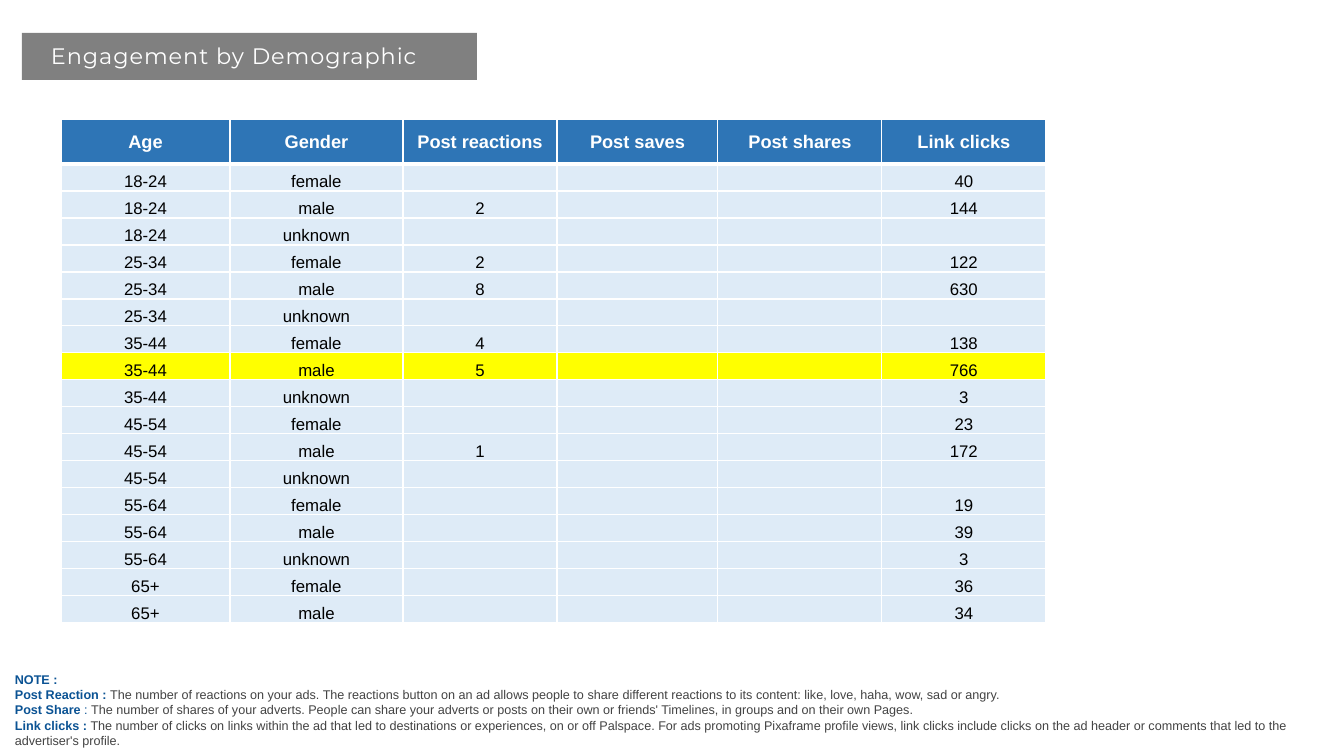
import itertools

import pptx
import pptx.dml.color
import pptx.enum.shapes
import pptx.enum.text
import pptx.oxml.ns
import pptx.util
from lxml import etree

PX = 914400 / 100.8
COLORS = {
    "white": "FFFFFF", "black": "000000", "banner": "808080",
    "header": "2E75B6", "body": "DEEBF7", "highlight": "FFFF00",
    "term": "0B5394", "definition": "434343",
}
ANCHOR = pptx.enum.text.MSO_ANCHOR

HEADINGS = ["Age", "Gender", "Post reactions", "Post saves", "Post shares", "Link clicks"]
COLUMN_WIDTHS = [169, 173, 154, 161, 164, 164]
HEADER_HEIGHT, ROW_HEIGHT = 45, 27
AGES = ["18-24", "25-34", "35-44", "45-54", "55-64", "65+"]
GENDERS = ["female", "male", "unknown"]
REACTIONS = ["", "2", "", "2", "8", "", "4", "5", "", "", "1", "", "", "", "", "", ""]
CLICKS = ["40", "144", "", "122", "630", "", "138", "766", "3",
          "23", "172", "", "19", "39", "3", "36", "34"]
HIGHLIGHTED = ("35-44", "male")

# Each note is a list of (text, colour, bold) runs.
NOTES = [
    [("NOTE :", "term", True)],
    [("Post Reaction : ", "term", True),
     ("The number of reactions on your ads. The reactions button on an ad allows people to "
      "share different reactions to its content: like, love, haha, wow, sad or angry.",
      "definition", False)],
    [("Post Share", "term", True), (" : ", "term", False),
     ("The number of shares of your adverts. People can share your adverts or posts on their "
      "own or friends' Timelines, in groups and on their own Pages.", "definition", False)],
    [("Link clicks : ", "term", True),
     ("The number of clicks on links within the ad that led to destinations or experiences, "
      "on or off Palspace. For ads promoting Pixaframe profile views, link clicks include "
      "clicks on the ad header or comments that led to the advertiser's profile.",
      "definition", False)],
]


def px(n):
    return pptx.util.Emu(round(n * PX))


def rgb(name):
    return pptx.dml.color.RGBColor.from_string(COLORS[name])


def format_run(r, size, color, bold=False, font="Arial"):
    r.font.name = font
    r.font.size = pptx.util.Pt(size)
    r.font.bold = bold
    r.font.color.rgb = rgb(color)


def add_textbox(slide, x, y, w, h):
    tf = slide.shapes.add_textbox(px(x), px(y), px(w), px(h)).text_frame
    tf.word_wrap = True
    return tf


def add_banner(slide, text):
    sp = slide.shapes.add_shape(
        pptx.enum.shapes.MSO_SHAPE.RECTANGLE, px(22), px(33), px(455), px(47))
    sp.shadow.inherit = False
    sp.fill.solid()
    sp.fill.fore_color.rgb = rgb("banner")
    sp.line.fill.background()

    tf = add_textbox(slide, 51, 33, 455, 36)
    tf.margin_left = tf.margin_right = tf.margin_bottom = 0
    tf.margin_top = px(9)
    tf.text = text
    p = tf.paragraphs[0]
    p.space_before = pptx.util.Pt(0.7)
    r = p.runs[0]
    format_run(r, 16, "white", font="Montserrat")
    r.font._element.set("spc", "70")


def set_borders(cell, **widths):
    """Draw white borders; widths are points by side letter (L, R, T, B)."""
    tc_pr = cell._tc.get_or_add_tcPr()
    qn = pptx.oxml.ns.qn
    for side, width in widths.items():
        ln = etree.SubElement(tc_pr, qn(f"a:ln{side}"), w=str(pptx.util.Pt(width)))
        fill = etree.SubElement(ln, qn("a:solidFill"))
        etree.SubElement(fill, qn("a:srgbClr"), val=COLORS["white"])


def fill_cell(cell, text, size, color, fill, bold, anchor, bottom):
    set_borders(cell, L=1, R=1, T=1, B=bottom)
    cell.fill.solid()
    cell.fill.fore_color.rgb = rgb(fill)
    cell.vertical_anchor = anchor
    cell.margin_left = cell.margin_right = cell.margin_top = px(1)
    cell.margin_bottom = 0
    cell.text = text
    p = cell.text_frame.paragraphs[0]
    p.alignment = pptx.enum.text.PP_ALIGN.CENTER
    for r in p.runs:
        format_run(r, size, color, bold)
    if not text:  # keeps empty cells from stretching the row
        etree.SubElement(p._p, pptx.oxml.ns.qn("a:endParaRPr"), sz=str(size * 100))


def add_engagement_table(slide):
    groups = itertools.product(AGES, GENDERS)
    rows = [[age, gender, reactions, "", "", clicks]
            for (age, gender), reactions, clicks in zip(groups, REACTIONS, CLICKS)]
    table = slide.shapes.add_table(
        len(rows) + 1, len(HEADINGS), px(61), px(119), px(sum(COLUMN_WIDTHS)),
        px(HEADER_HEIGHT + ROW_HEIGHT * len(rows))).table
    table.first_row = table.horz_banding = False
    for column, width in zip(table.columns, COLUMN_WIDTHS):
        column.width = px(width)
    for i, values in enumerate([HEADINGS] + rows):
        table.rows[i].height = px(ROW_HEIGHT if i else HEADER_HEIGHT)
        if i == 0:
            style = (13, "white", "header", True, ANCHOR.MIDDLE, 3)
        else:
            fill = "highlight" if tuple(values[:2]) == HIGHLIGHTED else "body"
            style = (12, "black", fill, False, ANCHOR.BOTTOM, 1)
        for j, text in enumerate(values):
            fill_cell(table.cell(i, j), text, *style)


def add_notes(slide):
    tf = add_textbox(slide, 5, 667, 1323, 87)
    for i, runs in enumerate(NOTES):
        p = tf.add_paragraph() if i else tf.paragraphs[0]
        for text, color, bold in runs:
            r = p.add_run()
            r.text = text
            format_run(r, 9, color, bold)


def main():
    prs = pptx.Presentation()
    prs.slide_width, prs.slide_height = px(1344), px(756)
    slide = prs.slides.add_slide(prs.slide_layouts[6])
    add_notes(slide)
    add_engagement_table(slide)
    add_banner(slide, "Engagement by Demographic")
    prs.save("out.pptx")


if __name__ == "__main__":
    main()
